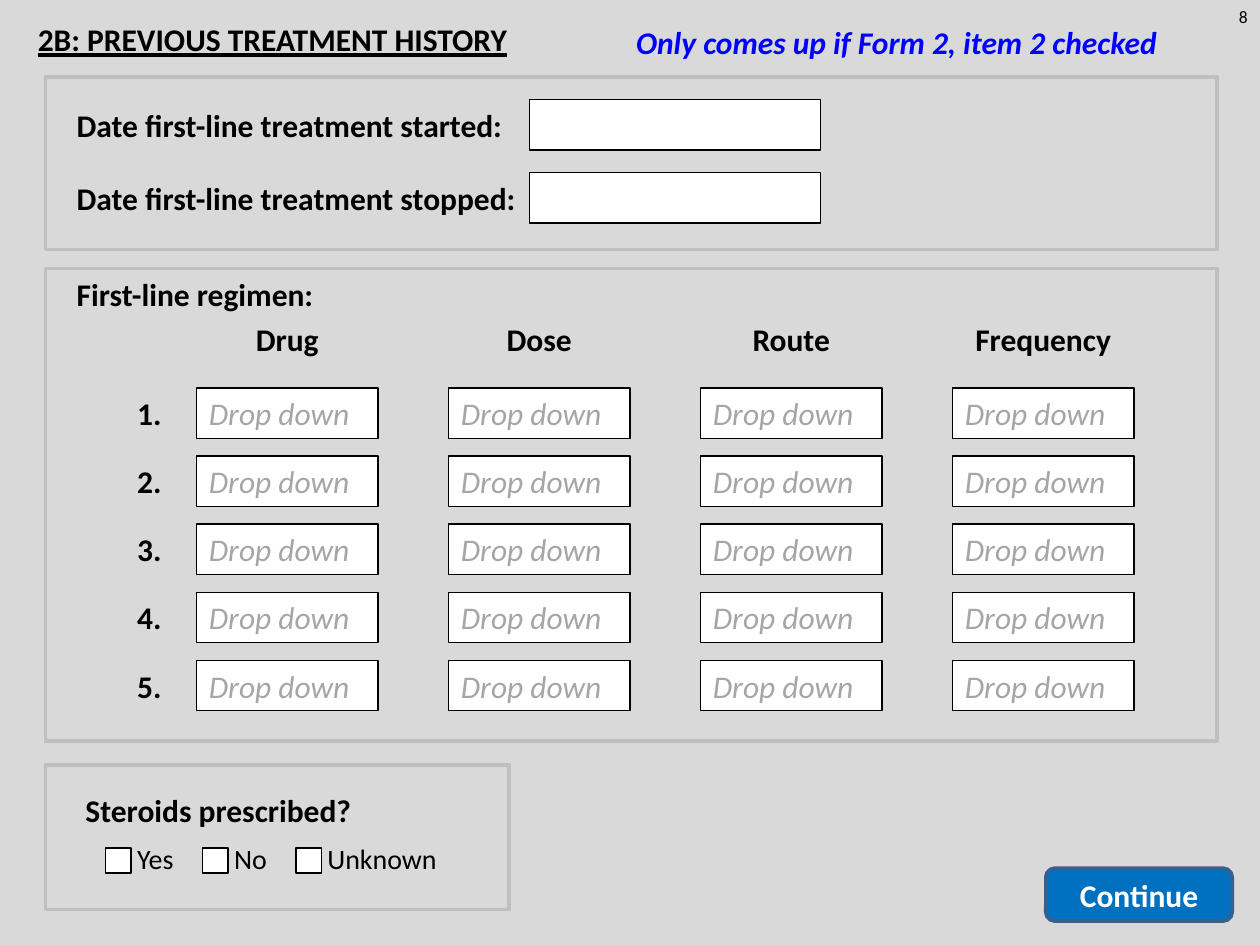
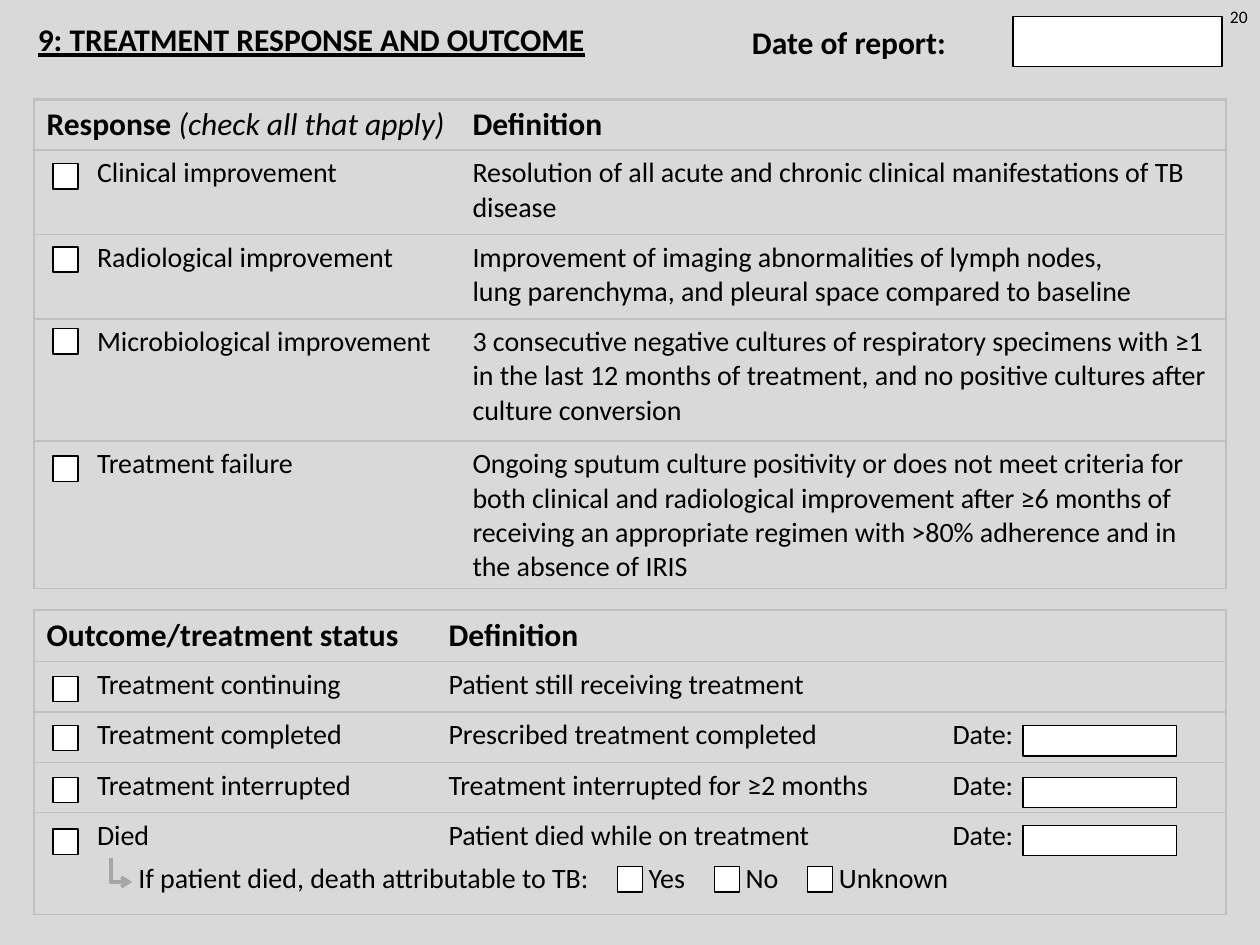
from dataclasses import dataclass
from typing import Optional

from lxml.etree import SubElement
from pptx import Presentation
from pptx.dml.color import RGBColor
from pptx.enum.shapes import MSO_CONNECTOR, MSO_SHAPE
from pptx.enum.text import MSO_ANCHOR, PP_ALIGN
from pptx.oxml.ns import qn
from pptx.util import Inches, Pt

BLACK = RGBColor(0x00, 0x00, 0x00)
WHITE = RGBColor(0xFF, 0xFF, 0xFF)
PAGE_GREY = RGBColor(0xD9, 0xD9, 0xD9)
BORDER_GREY = RGBColor(0xBF, 0xBF, 0xBF)
HINT_GREY = RGBColor(0xA6, 0xA6, 0xA6)
NOTE_BLUE = RGBColor(0x00, 0x00, 0xFF)
BUTTON_BLUE = RGBColor(0x00, 0x70, 0xC0)
BUTTON_EDGE = RGBColor(0x3A, 0x5F, 0x8C)

FONT = "Calibri"
TITLE = {"size": Pt(18), "bold": True, "underline": True}
LABEL = {"size": Pt(18), "bold": True}
NOTE = {"size": Pt(18), "bold": True, "italic": True}
HINT = {"size": Pt(18), "bold": False, "italic": True}
BODY = {"size": Pt(16), "bold": False}
PAGE_NUMBER = {"size": Pt(10)}

PLAIN_TABLE_STYLE = "{2D5ABB26-0587-4C30-8999-92F81FD0307C}"
FIELD_HEIGHT = 0.4
CHECKBOX_SIZE = 0.2
CHECKBOX_LEFT = 0.42


@dataclass(frozen=True)
class Box:
    left: float
    top: float
    width: float
    height: float = FIELD_HEIGHT

    def lengths(self) -> tuple:
        return tuple(Inches(value) for value in (self.left, self.top, self.width, self.height))


@dataclass(frozen=True)
class FormRow:
    label: str
    definition: str
    height: float
    checkbox_top: float
    date_top: Optional[float] = None


@dataclass(frozen=True)
class FormTable:
    box: Box
    label_width: float
    header_height: float
    heading: str
    heading_hint: str
    rows: tuple


RESPONSES = FormTable(
    Box(0.27, 0.79, 9.46, 3.88), 3.38, 0.4, "Response ", "(check all that apply)",
    (
        FormRow("Clinical improvement",
                "Resolution of all acute and chronic clinical manifestations of TB disease",
                0.67, 1.3),
        FormRow("Radiological improvement",
                "Improvement of imaging abnormalities of lymph nodes,\v"
                "lung parenchyma, and pleural space compared to baseline",
                0.67, 1.96),
        FormRow("Microbiological improvement",
                "3 consecutive negative cultures of respiratory specimens with ≥1 in the last "
                "12 months of treatment, and no positive cultures after culture conversion",
                0.97, 2.61),
        FormRow("Treatment failure",
                "Ongoing sputum culture positivity or does not meet criteria for both clinical "
                "and radiological improvement after ≥6 months of receiving an appropriate "
                "regimen with >80% adherence and in the absence of IRIS",
                1.17, 3.62),
    ),
)

OUTCOMES = FormTable(
    Box(0.27, 4.84, 9.46, 2.43), 3.19, 0.41, "Outcome/treatment status", "",
    (
        FormRow("Treatment continuing", "Patient still receiving treatment", 0.4, 5.37),
        FormRow("Treatment completed", "Prescribed treatment completed", 0.4, 5.76, 5.76),
        FormRow("Treatment interrupted", "Treatment interrupted for ≥2 months", 0.4, 6.17, 6.17),
        FormRow("Died", "Patient died while on treatment", 0.81, 6.58, 6.55),
    ),
)


def format_runs(paragraph, values: dict, color: RGBColor = BLACK) -> None:
    for run in paragraph.runs:
        for name, value in values.items():
            setattr(run.font, name, value)
        run.font.name = FONT
        run.font.color.rgb = color


def fill_text(shape, text: str, values: dict, color: RGBColor = BLACK,
              alignment=PP_ALIGN.LEFT) -> None:
    frame = shape.text_frame
    frame.word_wrap = True
    frame.vertical_anchor = MSO_ANCHOR.MIDDLE
    paragraph = frame.paragraphs[0]
    paragraph.text = text
    paragraph.alignment = alignment
    format_runs(paragraph, values, color)


def add_label(slide, text: str, box: Box, values: dict = LABEL, color: RGBColor = BLACK,
              alignment=PP_ALIGN.LEFT) -> None:
    fill_text(slide.shapes.add_textbox(*box.lengths()), text, values, color, alignment)


def add_box(slide, box: Box, fill: Optional[RGBColor] = WHITE, line: RGBColor = BLACK,
            line_width: float = 0.75, kind=MSO_SHAPE.RECTANGLE):
    shape = slide.shapes.add_shape(kind, *box.lengths())
    shape.shadow.inherit = False
    if fill is None:
        shape.fill.background()
    else:
        shape.fill.solid()
        shape.fill.fore_color.rgb = fill
    shape.line.color.rgb = line
    shape.line.width = Pt(line_width)
    return shape


def add_panel(slide, box: Box) -> None:
    add_box(slide, box, None, BORDER_GREY, 2)


def add_checkbox(slide, left: float, top: float) -> None:
    add_box(slide, Box(left, top, CHECKBOX_SIZE, CHECKBOX_SIZE))


def add_answers(slide, left: float, top: float) -> None:
    for text, offset, width in (("Yes", 0, 0.66), ("No", 0.77, 0.66), ("Unknown", 1.51, 1.16)):
        add_checkbox(slide, left + offset, top)
        add_label(slide, text, Box(left + offset + 0.15, top - 0.1, width, 0.37), BODY)


def add_form_slide(presentation, title: str, number: int):
    slide = presentation.slides.add_slide(presentation.slide_layouts.get_by_name("Title Only"))
    heading = slide.shapes.title
    heading.left, heading.top, heading.width, heading.height = Box(0.2, 0.11, 5.27).lengths()
    fill_text(heading, title, TITLE)
    add_label(slide, str(number), Box(9.5, 0, 0.5, 0.27), PAGE_NUMBER, alignment=PP_ALIGN.RIGHT)
    return slide


def set_borders(cell, widths: dict) -> None:
    properties = cell._tc.get_or_add_tcPr()
    for position, side in enumerate(("lnL", "lnR", "lnT", "lnB")):
        width = widths.get(side, 0)
        line = properties.makeelement(qn(f"a:{side}"), {"w": str(Pt(width))})
        properties.insert(position, line)
        if width:
            fill = SubElement(line, qn("a:solidFill"))
            SubElement(fill, qn("a:srgbClr"), val=str(BORDER_GREY))
        else:
            SubElement(line, qn("a:noFill"))


def write_label_cell(cell, text: str) -> None:
    paragraph = cell.text_frame.paragraphs[0]
    paragraph.text = text
    paragraph._p.get_or_add_pPr().set("marL", str(Inches(0.4)))
    format_runs(paragraph, BODY)


def write_definition_cell(cell, row: FormRow) -> None:
    paragraph = cell.text_frame.paragraphs[0]
    paragraph.text = row.definition
    if row.date_top is not None:
        paragraph.text += "\tDate:"
        tabs = SubElement(paragraph._p.get_or_add_pPr(), qn("a:tabLst"))
        SubElement(tabs, qn("a:tab"), pos=str(Inches(4)), algn="l")
    format_runs(paragraph, BODY)


def add_form_table(slide, form: FormTable) -> None:
    count = len(form.rows) + 1
    table = slide.shapes.add_table(count, 2, *form.box.lengths()).table
    table._tbl.tblPr.find(qn("a:tableStyleId")).text = PLAIN_TABLE_STYLE
    table.first_row = table.horz_banding = False
    table.columns[0].width = Inches(form.label_width)
    table.columns[1].width = Inches(form.box.width - form.label_width)

    heights = (form.header_height, *(row.height for row in form.rows))
    for index, height in enumerate(heights):
        table.rows[index].height = Inches(height)
        for column, outer_side in enumerate(("lnL", "lnR")):
            cell = table.cell(index, column)
            cell.fill.background()
            set_borders(cell, {outer_side: 1.5, "lnT": 1 if index else 1.5, "lnB": 1})

    heading = table.cell(0, 0).text_frame.paragraphs[0]
    heading.text = form.heading
    format_runs(heading, LABEL)
    if form.heading_hint:
        hint = heading.add_run()
        hint.text = form.heading_hint
        for name, value in HINT.items():
            setattr(hint.font, name, value)
        hint.font.name = FONT
        hint.font.color.rgb = BLACK
    definition = table.cell(0, 1).text_frame.paragraphs[0]
    definition.text = "Definition"
    format_runs(definition, LABEL)

    for index, row in enumerate(form.rows, start=1):
        write_label_cell(table.cell(index, 0), row.label)
        write_definition_cell(table.cell(index, 1), row)
        add_checkbox(slide, CHECKBOX_LEFT, row.checkbox_top)
        if row.date_top is not None:
            add_box(slide, Box(8.12, row.date_top, 1.22, 0.24))


def add_follow_up_arrow(slide) -> None:
    connector = slide.shapes.add_connector(
        MSO_CONNECTOR.ELBOW, Inches(0.87), Inches(6.82), Inches(1.06), Inches(6.99))
    connector.line.color.rgb = HINT_GREY
    connector.line.width = Pt(2)
    properties = connector._element.spPr
    properties.find(qn("a:prstGeom")).set("prst", "bentConnector2")
    transform = properties.find(qn("a:xfrm"))
    transform.set("rot", str(270 * 60000))
    transform.set("flipH", "1")
    SubElement(properties.find(qn("a:ln")), qn("a:tailEnd"), type="arrow")
    SubElement(properties, qn("a:effectLst"))


def build_history_slide(presentation) -> None:
    slide = add_form_slide(presentation, "2B: PREVIOUS TREATMENT HISTORY", 8)
    add_label(slide, "Only comes up if Form 2, item 2 checked", Box(4.95, 0.13, 4.43),
              NOTE, NOTE_BLUE)

    add_panel(slide, Box(0.36, 0.61, 9.3, 1.37))
    for event, top in (("started", 0.79), ("stopped", 1.37)):
        add_label(slide, f"Date first-line treatment {event}:", Box(0.51, top, 3.8))
        add_box(slide, Box(4.2, top, 2.31))

    add_panel(slide, Box(0.36, 2.13, 9.3, 3.75))
    add_label(slide, "First-line regimen:", Box(0.51, 2.13, 3.69))
    row_tops = [3.08 + 0.54 * row for row in range(5)]
    for number, top in enumerate(row_tops, start=1):
        add_label(slide, f"{number}.", Box(0.99, top, 0.4))
    for column, heading in enumerate(("Drug", "Dose", "Route", "Frequency")):
        left = 1.56 + 2 * column
        add_label(slide, heading, Box(left, 2.49, 1.44), alignment=PP_ALIGN.CENTER)
        for top in row_tops:
            fill_text(add_box(slide, Box(left, top, 1.44)), "Drop down", HINT, HINT_GREY)

    add_panel(slide, Box(0.36, 6.07, 3.68, 1.15))
    add_label(slide, "Steroids prescribed?", Box(0.58, 6.23, 3.02))
    add_answers(slide, 0.84, 6.73)

    button = add_box(slide, Box(8.3, 6.89, 1.48, 0.42), BUTTON_BLUE, BUTTON_EDGE, 2,
                     MSO_SHAPE.ROUNDED_RECTANGLE)
    fill_text(button, "Continue", LABEL, WHITE, PP_ALIGN.CENTER)


def build_outcome_slide(presentation) -> None:
    slide = add_form_slide(presentation, "9: TREATMENT RESPONSE AND OUTCOME", 20)
    add_label(slide, "Date of report:", Box(5.87, 0.13, 2.1))
    add_box(slide, Box(8.04, 0.13, 1.66))
    for form in (RESPONSES, OUTCOMES):
        add_form_table(slide, form)
    add_follow_up_arrow(slide)
    add_label(slide, "If patient died, death attributable to TB:", Box(1, 6.78, 4.47, 0.37), BODY)
    add_answers(slide, 4.9, 6.88)


def main() -> None:
    presentation = Presentation()
    presentation.slide_width = Inches(10)
    presentation.slide_height = Inches(7.5)
    background = presentation.slide_master.background.fill
    background.solid()
    background.fore_color.rgb = PAGE_GREY
    build_history_slide(presentation)
    build_outcome_slide(presentation)
    presentation.save("out.pptx")


if __name__ == "__main__":
    main()
